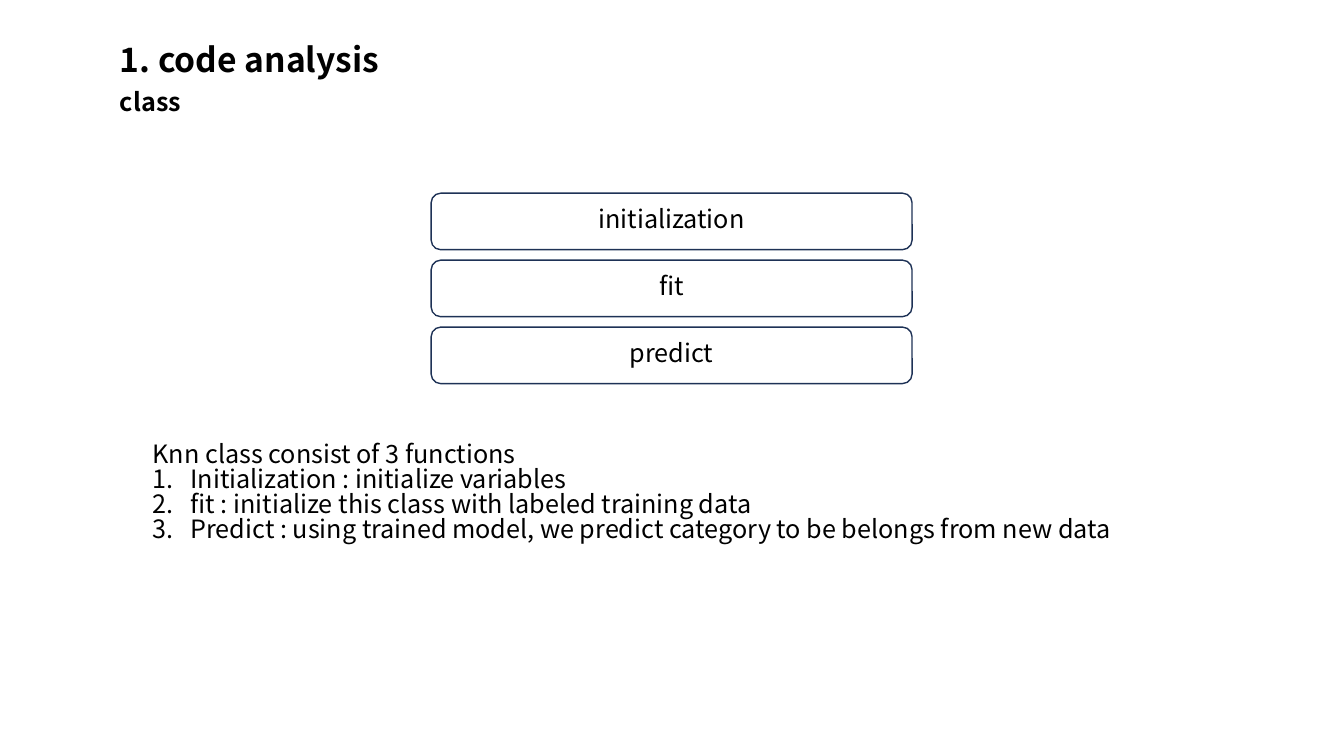
from dataclasses import dataclass

from lxml import etree
from pptx import Presentation
from pptx.dml.color import RGBColor
from pptx.enum.shapes import MSO_SHAPE
from pptx.enum.text import MSO_ANCHOR, PP_ALIGN
from pptx.oxml.ns import qn
from pptx.util import Pt

ROUNDED = MSO_SHAPE.ROUNDED_RECTANGLE
MIDDLE = MSO_ANCHOR.MIDDLE
LEFT, CENTER = PP_ALIGN.LEFT, PP_ALIGN.CENTER


@dataclass(frozen=True)
class Theme:
    font: str = "Noto Sans CJK KR"
    ink: str = "000000"
    paper: str = "FFFFFF"
    outline: str = "1E3256"
    title_size: int = 24
    body_size: int = 18
    line_spacing: float = 0.83


THEME = Theme()
FUNCTIONS = ["initialization", "fit", "predict"]
SUMMARY = "Knn class consist of 3 functions"
DESCRIPTIONS = [
    "Initialization : initialize variables",
    "fit : initialize this class with labeled training data",
    "Predict : using trained model, we predict category to be belongs from new data",
]


def style(paragraph, size=THEME.body_size, bold=False, align=LEFT):
    paragraph.alignment = align
    paragraph.line_spacing = THEME.line_spacing
    font = paragraph.font
    font.name, font.size, font.bold = THEME.font, Pt(size), bold
    font.color.rgb = RGBColor.from_string(THEME.ink)


def number(paragraph, indent):
    properties = paragraph._p.get_or_add_pPr()
    properties.set("marL", str(Pt(indent)))
    properties.set("indent", str(-Pt(indent)))
    bullet_font = etree.Element(qn("a:buFont"), typeface="+mj-lt")
    numbering = etree.Element(qn("a:buAutoNum"), type="arabicPeriod")
    # Bullets come before the default run properties
    defaults = properties.find(qn("a:defRPr"))
    defaults.addprevious(bullet_font)
    defaults.addprevious(numbering)


def border(cell, side, width):
    line = etree.SubElement(cell._tc.get_or_add_tcPr(), qn(f"a:{side}"), w=str(Pt(width)))
    fill = etree.SubElement(line, qn("a:solidFill"))
    etree.SubElement(fill, qn("a:srgbClr"), val=THEME.paper)


def add_title(slide, left, top, width, height):
    title = slide.shapes.add_textbox(Pt(left), Pt(top), Pt(width), Pt(height)).text_frame
    title.word_wrap = True
    title.text = "1. code analysis"
    style(title.paragraphs[0], THEME.title_size, bold=True)


def add_subtitle_table(slide, left, top, width, height):
    table = slide.shapes.add_table(1, 1, Pt(left), Pt(top), Pt(width), Pt(height)).table
    table.first_row = table.horz_banding = False
    subtitle = table.cell(0, 0)
    subtitle.text = "class"
    style(subtitle.text_frame.paragraphs[0], bold=True)
    for side, line_width in (("lnL", 1), ("lnR", 1), ("lnT", 1), ("lnB", 3)):
        border(subtitle, side, line_width)
    subtitle.fill.background()


def add_function_stack(slide, left, top, width, height, gap=7.5):
    box_height = (height - gap * (len(FUNCTIONS) - 1)) / len(FUNCTIONS)
    for row, name in enumerate(FUNCTIONS):
        box_top = top + row * (box_height + gap)
        function = slide.shapes.add_shape(ROUNDED, Pt(left), Pt(box_top), Pt(width), Pt(box_height))
        function.shadow.inherit = False
        function.fill.background()
        function.line.color.rgb = RGBColor.from_string(THEME.outline)
        function.line.width = Pt(1)
        function.text_frame.vertical_anchor = MIDDLE
        function.text_frame.text = name
        style(function.text_frame.paragraphs[0], align=CENTER)


def add_description(slide, left, top, width, height):
    description = slide.shapes.add_textbox(Pt(left), Pt(top), Pt(width), Pt(height)).text_frame
    description.word_wrap = True
    description.text = "\n".join([SUMMARY, *DESCRIPTIONS])
    for paragraph in description.paragraphs:
        style(paragraph)
    for paragraph in description.paragraphs[1:]:
        number(paragraph, indent=27)


def main():
    presentation = Presentation()
    presentation.slide_width, presentation.slide_height = Pt(960), Pt(540)
    slide = presentation.slides.add_slide(presentation.slide_layouts[6])

    # Heading
    add_title(slide, 78.5, 29, 762.5, 36)
    add_subtitle_table(slide, 78.5, 58.5, 824.5, 29.5)

    # Class functions and what they do
    add_description(slide, 102, 313, 708, 116.5)
    add_function_stack(slide, 308, 138, 343.5, 136)

    presentation.save("out.pptx")


if __name__ == "__main__":
    main()
